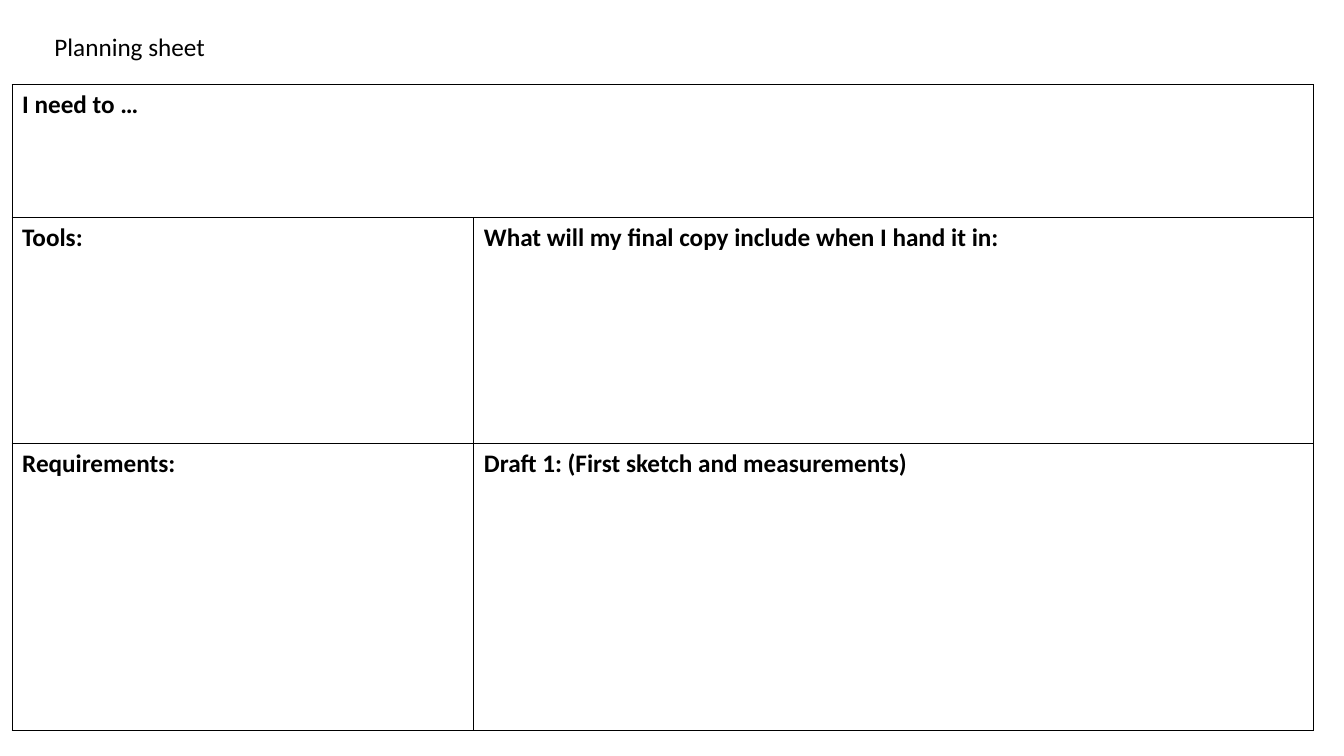
import pptx
import pptx.util
import pptx.dml.color
import pptx.enum.text
import pptx.oxml
import pptx.oxml.ns

Inches = pptx.util.Inches
FONT = "Calibri"
INK = "000000"
PAPER = "FFFFFF"


def color(code):
    return pptx.dml.color.RGBColor.from_string(code)


def style(frame, bold):
    for para in frame.paragraphs:
        para.alignment = pptx.enum.text.PP_ALIGN.LEFT
        for run in para.runs:
            run.font.name = FONT
            run.font.size = pptx.util.Pt(18)
            run.font.bold = bold
            run.font.color.rgb = color(INK)


def border(cell):
    props = cell._tc.get_or_add_tcPr()
    space = pptx.oxml.ns.nsdecls("a")
    for side in ("lnL", "lnR", "lnT", "lnB"):
        props.append(pptx.oxml.parse_xml(
            f'<a:{side} {space} w="12700"><a:solidFill>'
            f'<a:srgbClr val="{INK}"/></a:solidFill></a:{side}>'))


def heading(slide, left, top, width, height):
    title = slide.shapes.title
    title.left, title.top = Inches(left), Inches(top)
    title.width, title.height = Inches(width), Inches(height)
    frame = title.text_frame
    frame.text = "Planning sheet"
    frame.word_wrap = True
    frame.auto_size = pptx.enum.text.MSO_AUTO_SIZE.NONE
    frame.vertical_anchor = pptx.enum.text.MSO_ANCHOR.TOP
    style(frame, False)


def planner(slide, left, top, width, height):
    labels = [
        ["I need to …", ""],
        ["Tools:", "What will my final copy include when I hand it in:"],
        ["Requirements:", "Draft 1: (First sketch and measurements)"],
    ]
    first = 4.58
    upper = [1.32, 2.24]
    widths = [first, width - first]
    heights = upper + [height - sum(upper)]
    table = slide.shapes.add_table(
        len(heights), len(widths), Inches(left), Inches(top),
        Inches(width), Inches(height)).table
    table.first_row = False
    table.horz_banding = False
    for column, size in zip(table.columns, widths):
        column.width = Inches(size)
    for row, size in zip(table.rows, heights):
        row.height = Inches(size)
    table.cell(0, 0).merge(table.cell(0, 1))
    for row, texts in zip(table.rows, labels):
        for cell, text in zip(row.cells, texts):
            border(cell)
            cell.fill.solid()
            cell.fill.fore_color.rgb = color(PAPER)
            if text:
                cell.text_frame.text = text
                style(cell.text_frame, True)


def main():
    deck = pptx.Presentation()
    deck.slide_width = Inches(13.33)
    deck.slide_height = Inches(7.5)
    slide = deck.slides.add_slide(deck.slide_layouts[5])
    planner(slide, 0.12, 0.84, 12.91, 6.41)
    heading(slide, 0.44, 0.26, 4.21, 0.4)
    deck.save("out.pptx")


if __name__ == "__main__":
    main()
